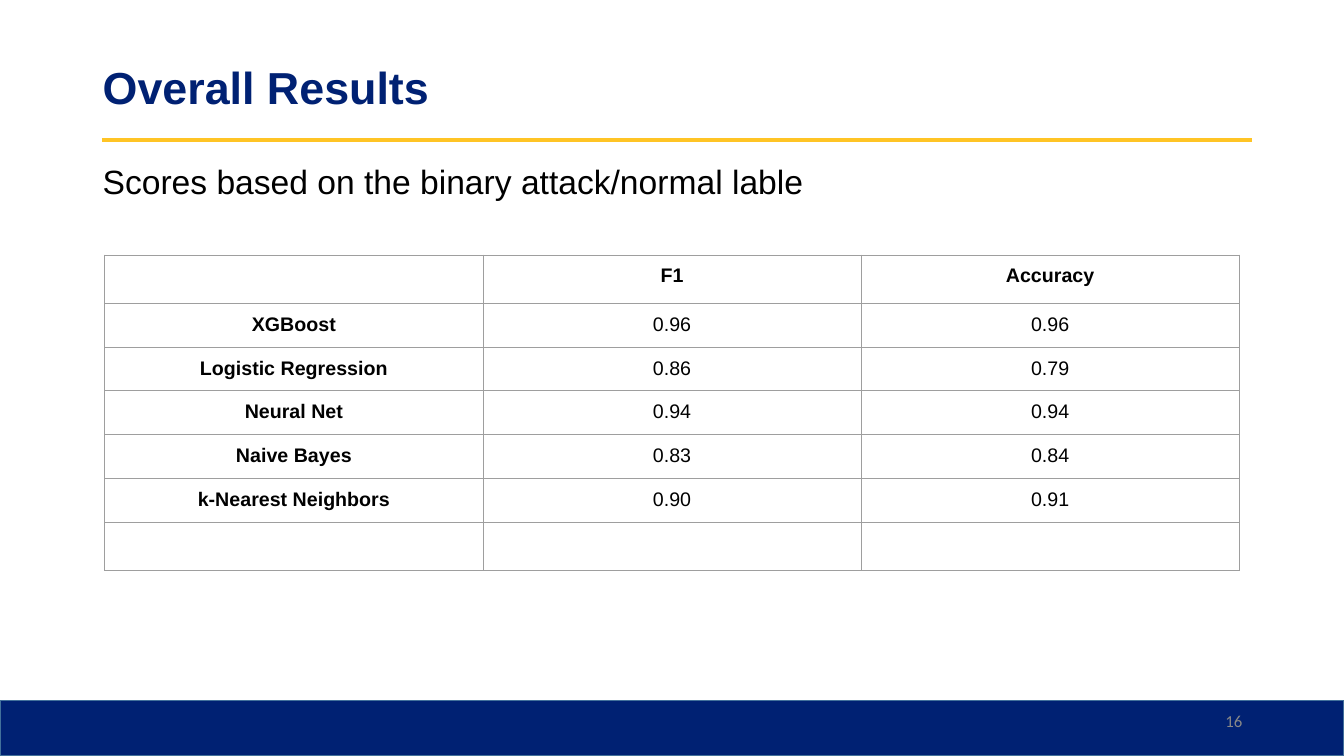
"""Build the overall results slide with its score table."""
from lxml.etree import SubElement
from pptx import Presentation
from pptx.dml.color import RGBColor
from pptx.enum.shapes import MSO_CONNECTOR as Connector, MSO_SHAPE as Shape
from pptx.enum.text import MSO_ANCHOR as Anchor, PP_ALIGN as Align
from pptx.oxml import parse_xml
from pptx.oxml.ns import nsdecls, qn
from pptx.util import Inches, Pt

TITLE = "Overall Results"
SUBTITLE = "Scores based on the binary attack/normal lable"
PAGE_NUMBER = "16"
SCORES = [
    ("", "F1", "Accuracy"),
    ("XGBoost", "0.96", "0.96"),
    ("Logistic Regression", "0.86", "0.79"),
    ("Neural Net", "0.94", "0.94"),
    ("Naive Bayes", "0.83", "0.84"),
    ("k-Nearest Neighbors", "0.90", "0.91"),
    ("", "", ""),
]

NAVY = RGBColor(0x00, 0x21, 0x73)
GOLD = RGBColor(0xFF, 0xC4, 0x25)
EDGE = RGBColor(0x42, 0x71, 0x9B)
GRAY = RGBColor(0x88, 0x88, 0x88)
GRID = RGBColor(0x9E, 0x9E, 0x9E)
BLACK = RGBColor(0, 0, 0)

WIDTH, HEIGHT = 13.33, 7.5
LEFT, TEXT_WIDTH = 0.92, 11.5
RIGHT = LEFT + TEXT_WIDTH
FOOTER_TOP = 6.95
TABLE_LEFT, TABLE_TOP = 1.04, 2.53
COLUMN_WIDTH, ROW_HEIGHT, OUTER_ROW_HEIGHT = 3.75, 0.42, 0.48
CELL_MARGIN = Inches(0.1)


def style_text(para, size, color, font="Arial", bold=False, align=Align.LEFT):
    para.alignment = align
    for span in para.runs:
        span.font.name = font
        span.font.size = Pt(size)
        span.font.bold = bold
        span.font.color.rgb = color


def add_text(page, text, left, top, width, height, anchor, spacing, **style):
    box = page.shapes.add_textbox(*map(Inches, (left, top, width, height)))
    frame = box.text_frame
    frame.word_wrap = True
    frame.vertical_anchor = anchor
    frame.text = text
    para = frame.paragraphs[0]
    para.line_spacing = spacing
    style_text(para, **style)


def add_borders(cell):
    props = cell._tc.get_or_add_tcPr()
    for side in ("lnL", "lnR", "lnT", "lnB"):
        props.append(parse_xml(
            f'<a:{side} {nsdecls("a")} w="{Pt(0.75)}"><a:solidFill>'
            f'<a:srgbClr val="{GRID}"/></a:solidFill></a:{side}>'))


def add_scores(page):
    rows, columns = len(SCORES), len(SCORES[0])
    table = page.shapes.add_table(
        rows, columns, Inches(TABLE_LEFT), Inches(TABLE_TOP),
        Inches(columns * COLUMN_WIDTH), Inches(rows * ROW_HEIGHT)).table
    table.first_row = table.horz_banding = False
    for column in table.columns:
        column.width = Inches(COLUMN_WIDTH)
    for r, values in enumerate(SCORES):
        outer = r in (0, rows - 1)
        table.rows[r].height = Inches(OUTER_ROW_HEIGHT if outer else ROW_HEIGHT)
        for c, value in enumerate(values):
            cell = table.cell(r, c)
            add_borders(cell)
            cell.fill.background()
            if value:
                cell.margin_left = cell.margin_right = CELL_MARGIN
                cell.margin_top = cell.margin_bottom = CELL_MARGIN
                cell.text_frame.text = value
                style_text(cell.text_frame.paragraphs[0], 14, BLACK,
                           bold=r == 0 or c == 0, align=Align.CENTER)


def main():
    deck = Presentation()
    deck.slide_width, deck.slide_height = Inches(WIDTH), Inches(HEIGHT)
    page = deck.slides.add_slide(deck.slide_layouts[6])

    rule = page.shapes.add_connector(
        Connector.STRAIGHT, Inches(1.01), Inches(1.39), Inches(RIGHT), Inches(1.39))
    rule.line.color.rgb = GOLD
    rule.line.width = Pt(3)
    SubElement(rule._element.spPr, qn("a:effectLst"))

    footer = page.shapes.add_shape(
        Shape.RECTANGLE, 0, Inches(FOOTER_TOP), Inches(WIDTH), Inches(HEIGHT - FOOTER_TOP))
    footer.shadow.inherit = False
    footer.fill.solid()
    footer.fill.fore_color.rgb = NAVY
    footer.line.color.rgb = EDGE
    footer.line.width = Pt(1)

    add_text(page, TITLE, LEFT, 0.4, TEXT_WIDTH, 0.99, Anchor.MIDDLE, 0.9,
             size=32, color=NAVY, bold=True)
    add_text(page, SUBTITLE, LEFT, 1.59, TEXT_WIDTH, 5.76, Anchor.TOP, 0.9,
             size=24, color=BLACK)
    add_text(page, PAGE_NUMBER, RIGHT - 3, FOOTER_TOP, 3, 0.4, Anchor.MIDDLE, 1.0,
             size=12, color=GRAY, font="Calibri", align=Align.RIGHT)
    add_scores(page)
    deck.save("out.pptx")


if __name__ == "__main__":
    main()
